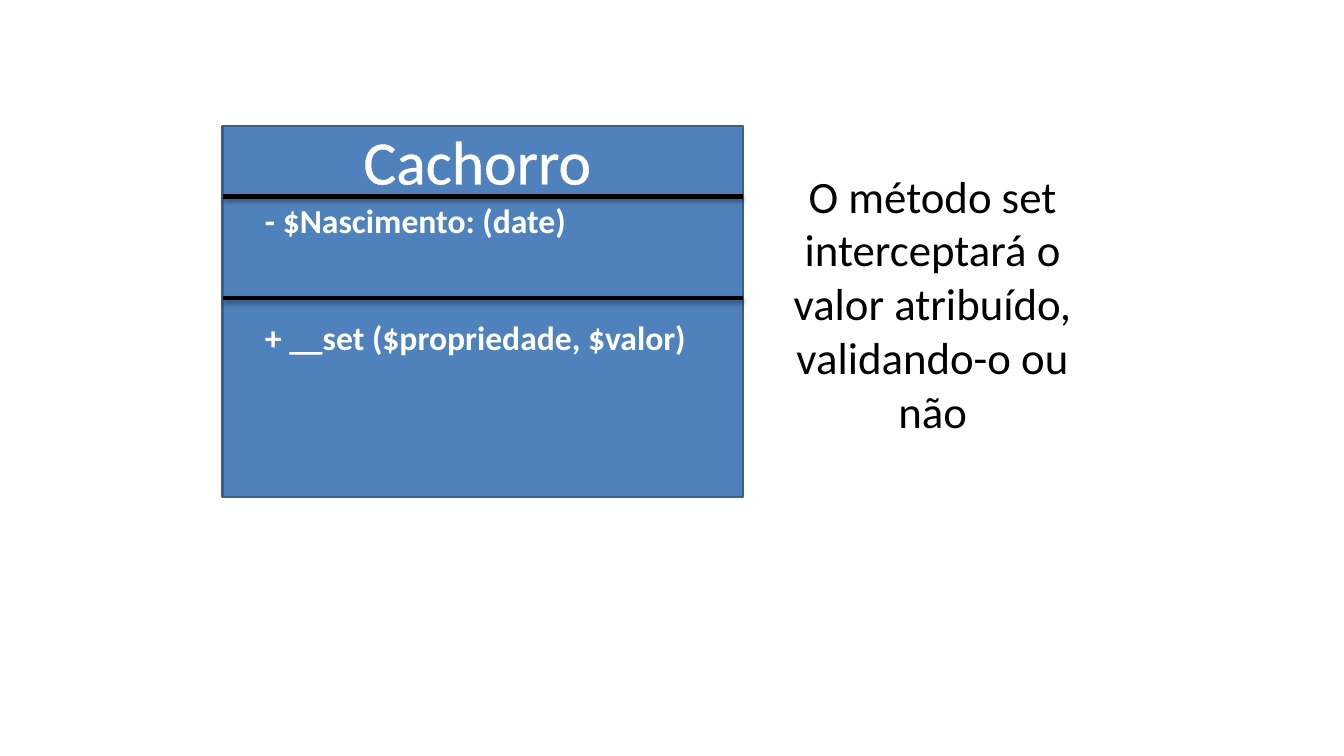
from lxml import etree
from pptx import Presentation
from pptx.dml.color import RGBColor
from pptx.enum.shapes import MSO_CONNECTOR, MSO_SHAPE
from pptx.enum.text import MSO_AUTO_SIZE, PP_ALIGN
from pptx.oxml import parse_xml
from pptx.oxml.ns import nsdecls
from pptx.util import Inches, Pt

RECTANGLE = MSO_SHAPE.RECTANGLE
STRAIGHT = MSO_CONNECTOR.STRAIGHT
FIT_SHAPE = MSO_AUTO_SIZE.SHAPE_TO_FIT_TEXT
LEFT, CENTER = PP_ALIGN.LEFT, PP_ALIGN.CENTER
BLANK_LAYOUT = 6

BLUE, DARK_BLUE, WHITE, BLACK = "4F81BD", "3A5F8C", "FFFFFF", "000000"


def color(hex_code):
    return RGBColor.from_string(hex_code)


class ClassDiagram:
    """Draws on one page; lengths are percentages of the page size."""

    font = "Calibri"

    def __init__(self, deck):
        self.deck = deck
        self.page = deck.slides.add_slide(deck.slide_layouts[BLANK_LAYOUT])

    def place(self, *lengths):
        """Turn alternating horizontal and vertical percentages into EMU."""
        sizes = (self.deck.slide_width, self.deck.slide_height)
        return [round(sizes[i % 2] * part / 100) for i, part in enumerate(lengths)]

    def stroke(self, line, hex_code, points):
        line.color.rgb = color(hex_code)
        line.width = Pt(points)

    def rectangle(self, area, fill, edge):
        box = self.page.shapes.add_shape(RECTANGLE, *self.place(*area))
        box.shadow.inherit = False
        box.fill.solid()
        box.fill.fore_color.rgb = color(fill)
        self.stroke(box.line, edge, 2)

    def divider(self, left, right, y):
        rule = self.page.shapes.add_connector(STRAIGHT, *self.place(left, y, right, y))
        self.stroke(rule.line, BLACK, 3)
        rule._element.spPr.append(parse_xml(
            f'<a:effectLst {nsdecls("a")}>'
            '<a:outerShdw blurRad="40000" dist="23000" dir="5400000" rotWithShape="0">'
            f'<a:srgbClr val="{BLACK}"><a:alpha val="35000"/></a:srgbClr>'
            '</a:outerShdw></a:effectLst>'))

    def text(self, area, words, size, hex_code=WHITE, bold=False, align=LEFT, wrap=True):
        box = self.page.shapes.add_textbox(*self.place(*area))
        box.text_frame.word_wrap = wrap
        box.text_frame.auto_size = FIT_SHAPE
        para = box.text_frame.paragraphs[0]
        para.alignment = align
        span = para.add_run()
        span.text = words
        style = {"name": self.font, "size": Pt(size), "bold": bold}
        for name, value in style.items():
            setattr(span.font, name, value)
        span.font.color.rgb = color(hex_code)
        return span

    def outline(self, span, hex_code, points):
        """Draw a line around the letters of a run."""
        line = parse_xml(f'<a:ln {nsdecls("a")} w="{Pt(points)}"/>')
        fill = etree.SubElement(line, line.tag.replace("}ln", "}solidFill"))
        etree.SubElement(fill, line.tag.replace("}ln", "}srgbClr"), val=hex_code)
        span.font._element.insert(0, line)


def main():
    deck = Presentation()
    deck.slide_width, deck.slide_height = Inches(13.33), Inches(7.5)
    diagram = ClassDiagram(deck)

    left, width = 16.58, 38.7
    diagram.rectangle((left, 16.67, width, 49.07), BLUE, DARK_BLUE)
    for y in (26, 39.47):
        diagram.divider(left, left + width, y)

    name = diagram.text((26.18, 15.6, 18.68, 11.2), "Cachorro", 44,
                        align=CENTER, wrap=False)
    diagram.outline(name, WHITE, 1.45)

    members = {25.73: "- $Nascimento: (date)",
               41.2: "+ __set ($propriedade, $valor)"}
    for top, words in members.items():
        diagram.text((18.98, top, 33.38, 6.67), words, 24, bold=True)

    diagram.text((58.29, 21.6, 22.2, 37.2),
                 "O método set interceptará o valor atribuído, validando-o ou não",
                 32, BLACK, align=CENTER)
    deck.save("out.pptx")


if __name__ == "__main__":
    main()
